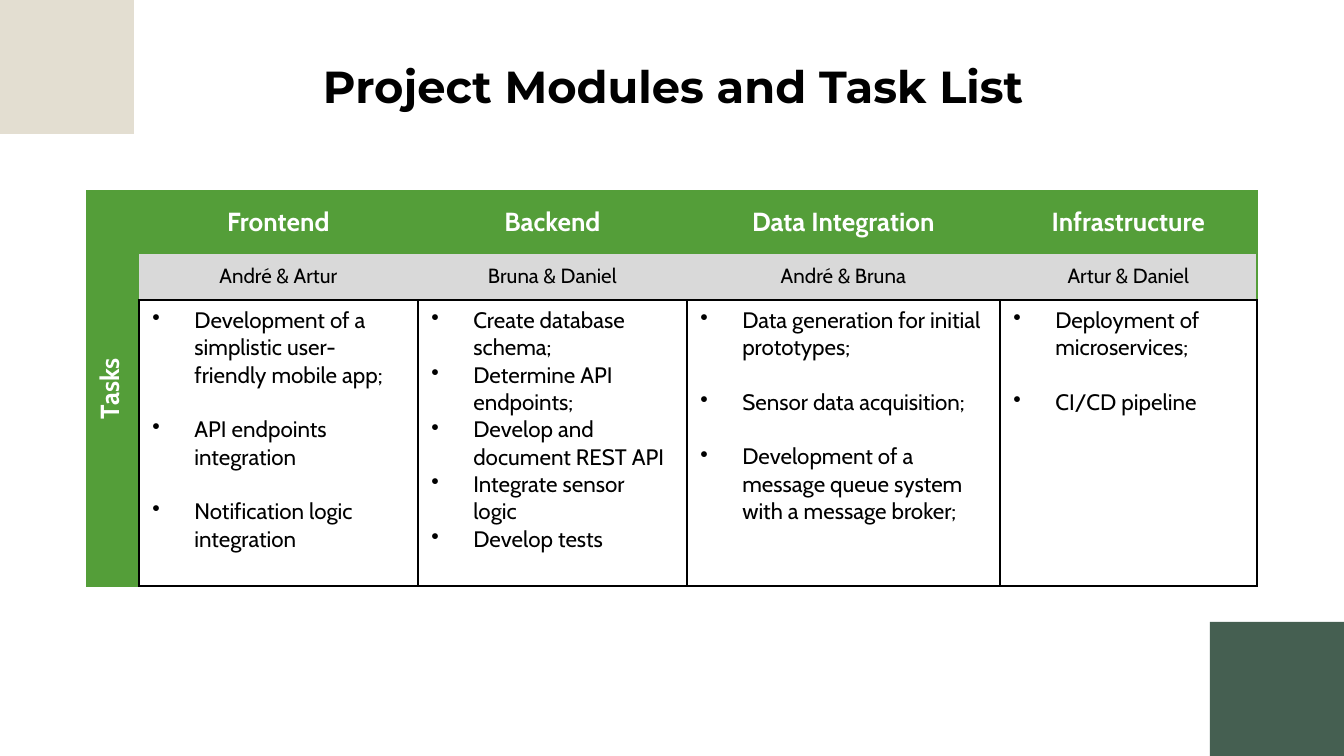
from lxml import etree
from pptx import Presentation
from pptx.dml.color import RGBColor
from pptx.enum.shapes import MSO_SHAPE
from pptx.enum.text import MSO_ANCHOR, PP_ALIGN
from pptx.oxml.ns import qn
from pptx.util import Emu, Pt

RECT = MSO_SHAPE.RECTANGLE
MIDDLE, TOP = MSO_ANCHOR.MIDDLE, MSO_ANCHOR.TOP
CENTER, LEFT = PP_ALIGN.CENTER, PP_ALIGN.LEFT
SCALE = 914400 / 134.4
GREEN, GREY, BLACK, WHITE = "549E39", "D9D9D9", "000000", "FFFFFF"
COLS = [52, 279, 269, 313, 257]
ROWS = [62, 47, 286]
MODULES = [
    ("Frontend", "André & Artur", 14.6, [
        "Development of a simplistic user-friendly mobile app;",
        "API endpoints integration",
        "Notification logic integration"]),
    ("Backend", "Bruna & Daniel", 0, [
        "Create database schema;",
        "Determine API endpoints;",
        "Develop and document REST API",
        "Integrate sensor logic",
        "Develop tests"]),
    ("Data Integration", "André & Bruna", 14.6, [
        "Data generation for initial prototypes;",
        "Sensor data acquisition;",
        "Development of a message queue system with a message broker;"]),
    ("Infrastructure", "Artur & Daniel", 14.6, [
        "Deployment of microservices;",
        "CI/CD pipeline"]),
]


def px(n):
    """Turn pixels into EMU."""
    return Emu(round(n * SCALE))


def color(code):
    """Turn a hex string into a colour."""
    return RGBColor.from_string(code)


def style(para, size, code, bold=False, face="Cabin", align=CENTER):
    """Set the font and alignment of a paragraph."""
    para.alignment = align
    font = para.font
    font.name, font.size, font.bold = face, Pt(size), bold
    font.color.rgb = color(code)


def add_block(slide, x, y, code):
    """Add a plain corner square."""
    block = slide.shapes.add_shape(RECT, px(x), px(y), px(134), px(134))
    block.shadow.inherit = False
    block.fill.solid()
    block.fill.fore_color.rgb = color(code)
    block.line.fill.background()


def add_title(slide, text):
    """Add the centred slide title."""
    box = slide.shapes.add_textbox(px(242), px(43), px(862), px(85))
    frame = box.text_frame
    frame.word_wrap = True
    frame.vertical_anchor = MIDDLE
    para = frame.paragraphs[0]
    para.text = text
    style(para, 24, BLACK, True, "Montserrat")


def paint(cell, fill, edges):
    """Set the borders and then the fill of a cell."""
    props = cell._tc.get_or_add_tcPr()
    for side in "LRTB":
        line = etree.SubElement(props, qn("a:ln" + side), w=str(Pt(1)))
        if side in edges:
            solid = etree.SubElement(line, qn("a:solidFill"))
            etree.SubElement(solid, qn("a:srgbClr"), val=edges[side])
        else:
            etree.SubElement(line, qn("a:noFill"))
    cell.fill.solid()
    cell.fill.fore_color.rgb = color(fill)


def label(cell, text, size, code, bold):
    """Write one centred line in a cell."""
    cell.vertical_anchor = MIDDLE
    para = cell.text_frame.paragraphs[0]
    para.text = text
    style(para, size, code, bold)


def bullets(cell, items, gap):
    """Write a bulleted list in a cell."""
    cell.vertical_anchor = TOP
    frame = cell.text_frame
    for i, item in enumerate(items):
        para = frame.add_paragraph() if i else frame.paragraphs[0]
        para.text = item
        props = para._p.get_or_add_pPr()
        props.set("marL", str(px(42)))
        props.set("indent", str(-px(42)))
        tint = etree.SubElement(props, qn("a:buClr"))
        etree.SubElement(tint, qn("a:srgbClr"), val=BLACK)
        etree.SubElement(props, qn("a:buChar"), char="•")
        para.space_before = Pt(gap if i else 0)
        style(para, 12, BLACK, align=LEFT)


def add_grid(slide):
    """Add the table of modules, owners and tasks."""
    frame = slide.shapes.add_table(len(ROWS), len(COLS), px(87), px(191),
                                   px(sum(COLS)), px(sum(ROWS)))
    grid = frame.table
    grid.first_row = grid.horz_banding = False
    for col, width in zip(grid.columns, COLS):
        col.width = px(width)
    for row, height in zip(grid.rows, ROWS):
        row.height = px(height)

    side = grid.cell(0, 0)
    side.merge(grid.cell(2, 0))
    for r in range(len(ROWS)):
        paint(grid.cell(r, 0), GREEN, dict.fromkeys("LTB", GREEN))
    label(side, "Tasks", 14, WHITE, True)
    side._tc.get_or_add_tcPr().set("vert", "vert270")

    for c, (name, team, gap, tasks) in enumerate(MODULES, 1):
        head, owner, body = (grid.cell(r, c) for r in range(len(ROWS)))
        edge = {"R": GREEN} if c == len(MODULES) else {}
        paint(head, GREEN, {"T": GREEN, "B": GREEN, **edge})
        paint(owner, GREY, {"T": GREEN, "B": BLACK, **edge})
        paint(body, WHITE, dict.fromkeys("LRTB", BLACK))
        label(head, name, 14, WHITE, True)
        label(owner, team, 11, BLACK, False)
        bullets(body, tasks, gap)


def main():
    """Build and save the slide."""
    deck = Presentation()
    deck.slide_width, deck.slide_height = px(1344), px(756)
    slide = deck.slides.add_slide(deck.slide_layouts[6])
    add_block(slide, 1210, 622, "455F51")
    add_block(slide, 0, 0, "E3DED1")
    add_title(slide, "Project Modules and Task List")
    add_grid(slide)
    deck.save("out.pptx")


if __name__ == "__main__":
    main()
